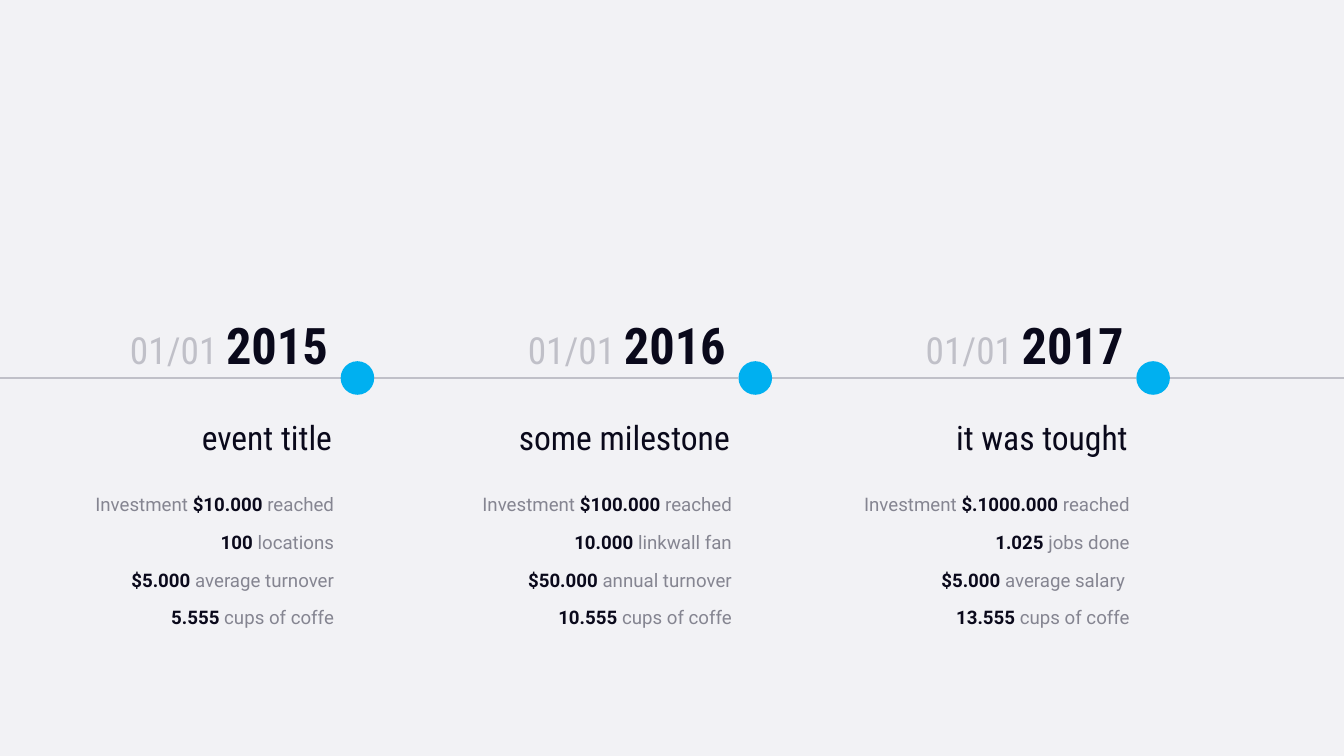
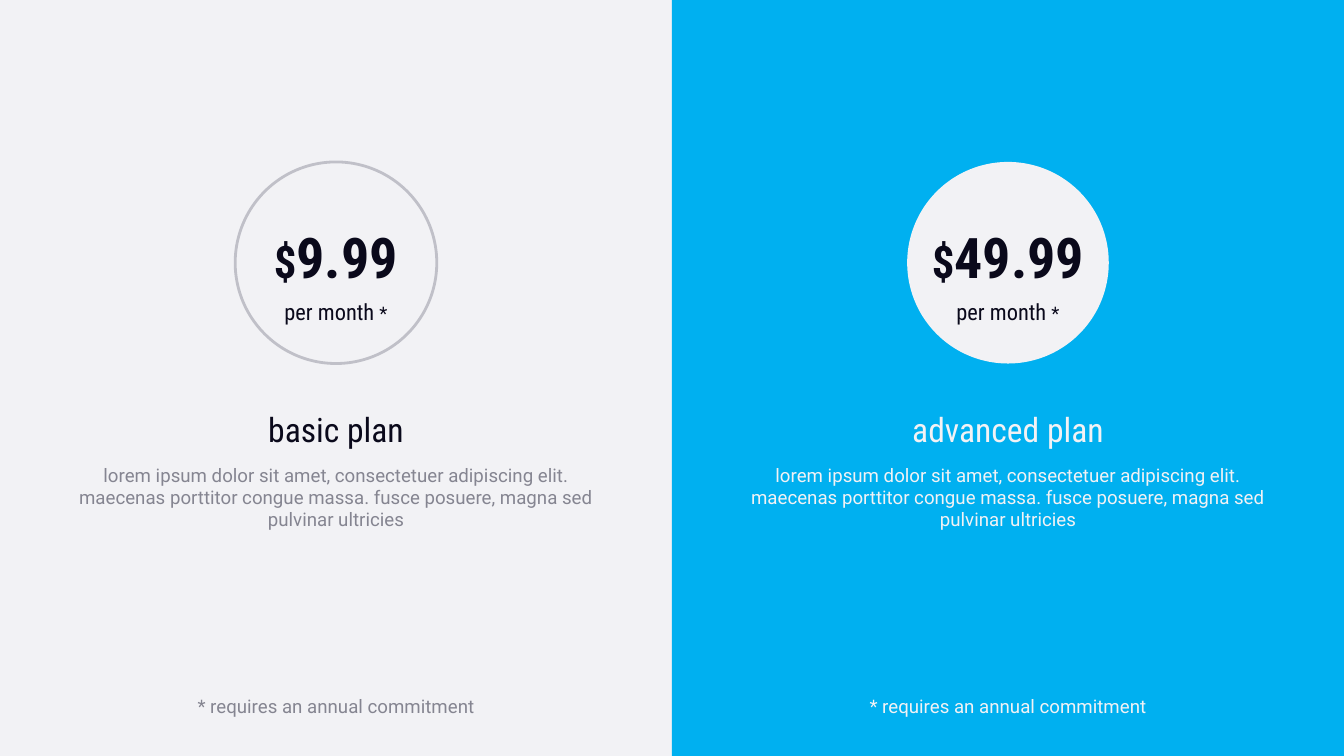
from dataclasses import dataclass
from typing import NamedTuple

from lxml import etree
from pptx import Presentation
from pptx.dml.color import RGBColor
from pptx.enum import shapes, text
from pptx.oxml import ns
from pptx.util import Pt

PAPER = RGBColor(0xF2, 0xF2, 0xF5)
INK = RGBColor(0x0A, 0x09, 0x1B)
GREY = RGBColor(0x85, 0x85, 0x91)
SILVER = RGBColor(0xC0, 0xC0, 0xC8)
BLUE = RGBColor(0x00, 0xB0, 0xF0)

BODY_FONT = "Roboto"
HEADING_FONT = "Roboto Condensed"
BODY_SIZE = 20
HEADING_SIZE = 36

SLIDE_WIDTH, SLIDE_HEIGHT = 1440, 810
BLANK_LAYOUT = 6

DOT_SIZE = 36
AXIS_Y = 405
FIRST_DOT_LEFT = 365
MILESTONE_PITCH = 426.25
FACTS_TOP, FACT_PITCH = 525, 40.25

HALF_WIDTH = SLIDE_WIDTH / 2
PRICE_CIRCLE_SIZE = 216
PRICE_CIRCLE_TOP = 173.5


class Box(NamedTuple):
    left: float
    top: float
    width: float
    height: float


class Piece(NamedTuple):
    text: str
    size: float
    color: RGBColor
    font: str = BODY_FONT
    bold: bool = False


@dataclass(frozen=True)
class Milestone:
    year: str
    title: str
    facts: tuple[str, ...]


@dataclass(frozen=True)
class Plan:
    name: str
    price: str
    title_color: RGBColor
    body_color: RGBColor
    panel: RGBColor | None = None
    ring: RGBColor | None = None


MILESTONES = (
    Milestone("2015", "event title", (
        "Investment |$10.000 |reached",
        "|100 |locations",
        "|$5.000 |average turnover",
        "|5.555| cups of coffe",
    )),
    Milestone("2016", "some milestone", (
        "Investment |$100.000 |reached",
        "|10.000 |linkwall fan",
        "|$50.000 |annual turnover",
        "|10.555| cups of coffe",
    )),
    Milestone("2017", "it was tought", (
        "Investment |$.1000.000 |reached",
        "|1.025 |jobs done",
        "|$5.000| average salary ",
        "|13.555| cups of coffe",
    )),
)

PLANS = (
    Plan("basic plan", "9.99", INK, GREY, ring=SILVER),
    Plan("advanced plan", "49.99", PAPER, PAPER, panel=BLUE),
)

DESCRIPTION = (
    "lorem ipsum dolor sit amet, consectetuer adipiscing elit. maecenas "
    "porttitor congue massa. fusce posuere, magna sed pulvinar ultricies"
)
FOOTNOTE = "* requires an annual commitment"


def add_text(slide, box: Box, pieces: list[Piece], alignment) -> None:
    frame = slide.shapes.add_textbox(*map(Pt, box)).text_frame
    frame.word_wrap = True
    frame.auto_size = text.MSO_AUTO_SIZE.SHAPE_TO_FIT_TEXT
    paragraph = frame.paragraphs[0]
    paragraph.alignment = alignment
    for piece in pieces:
        run = paragraph.add_run()
        run.text = piece.text
        run.font.size = Pt(piece.size)
        run.font.name = piece.font
        run.font.bold = piece.bold
        run.font.color.rgb = piece.color


def add_filled(slide, kind, box: Box, fill: RGBColor,
               outline: RGBColor | None = None) -> None:
    shape = slide.shapes.add_shape(kind, *map(Pt, box))
    shape.shadow.inherit = False
    shape.fill.solid()
    shape.fill.fore_color.rgb = fill
    if outline is None:
        shape.line.fill.background()
    else:
        shape.line.color.rgb = outline
        shape.line.width = Pt(3)


def add_axis_segment(slide, start: float, end: float) -> None:
    connector = slide.shapes.add_connector(
        shapes.MSO_CONNECTOR.STRAIGHT, Pt(start), Pt(AXIS_Y), Pt(end), Pt(AXIS_Y))
    connector.line.color.rgb = SILVER
    connector.line.width = Pt(2)
    properties = connector._element.find(ns.qn("p:spPr"))
    etree.SubElement(properties, ns.qn("a:effectLst"))


def fact_pieces(fact: str) -> list[Piece]:
    return [
        Piece(part, BODY_SIZE, INK if index % 2 else GREY, bold=index % 2 == 1)
        for index, part in enumerate(fact.split("|")) if part
    ]


def add_milestone(slide, milestone: Milestone, dot_left: float) -> None:
    right = text.PP_ALIGN.RIGHT
    add_filled(slide, shapes.MSO_SHAPE.OVAL,
               Box(dot_left, AXIS_Y - DOT_SIZE / 2, DOT_SIZE, DOT_SIZE), BLUE)
    add_text(slide, Box(dot_left - 282, 333.5, 275.5, 72.5), [
        Piece("01/01 ", 40, SILVER, HEADING_FONT),
        Piece(milestone.year, 54, INK, HEADING_FONT, True),
    ], right)
    add_text(slide, Box(dot_left - 304, 443, 302, 51),
             [Piece(milestone.title, HEADING_SIZE, INK, HEADING_FONT)], right)
    for row, fact in enumerate(milestone.facts):
        top = FACTS_TOP + row * FACT_PITCH
        add_text(slide, Box(dot_left - 355.5, top, 355.5, 31.5),
                 fact_pieces(fact), right)


def build_timeline(slide) -> None:
    dots = [FIRST_DOT_LEFT + index * MILESTONE_PITCH
            for index in range(len(MILESTONES))]
    starts = [0] + [dot + DOT_SIZE for dot in dots]
    for start, end in zip(starts, dots + [SLIDE_WIDTH]):
        add_axis_segment(slide, start, end)
    for milestone, dot_left in zip(MILESTONES, dots):
        add_milestone(slide, milestone, dot_left)


def add_plan(slide, plan: Plan, left: float) -> None:
    def centred(top: float, width: float, height: float) -> Box:
        return Box(left + (HALF_WIDTH - width) / 2, top, width, height)

    if plan.panel is not None:
        add_filled(slide, shapes.MSO_SHAPE.RECTANGLE,
                   centred(0, HALF_WIDTH, SLIDE_HEIGHT), plan.panel)
    add_filled(slide, shapes.MSO_SHAPE.OVAL,
               centred(PRICE_CIRCLE_TOP, PRICE_CIRCLE_SIZE, PRICE_CIRCLE_SIZE),
               PAPER, plan.ring)
    labels = (
        (centred(234.75, PRICE_CIRCLE_SIZE, 80), [
            Piece("$", 48, INK, HEADING_FONT, True),
            Piece(plan.price, 60, INK, HEADING_FONT, True),
        ]),
        (centred(316, PRICE_CIRCLE_SIZE, 36), [
            Piece("per month ", 24, INK, HEADING_FONT),
            Piece("*", 20, INK, HEADING_FONT),
        ]),
        (centred(435, 576, 51),
         [Piece(plan.name, HEADING_SIZE, plan.title_color, HEADING_FONT)]),
        (centred(493, 570, 80), [Piece(DESCRIPTION, BODY_SIZE, plan.body_color)]),
        (centred(741, 450, 31.5), [Piece(FOOTNOTE, BODY_SIZE, plan.body_color)]),
    )
    for box, pieces in labels:
        add_text(slide, box, pieces, text.PP_ALIGN.CENTER)


def build_pricing(slide) -> None:
    for index, plan in enumerate(PLANS):
        add_plan(slide, plan, index * HALF_WIDTH)


def main() -> None:
    presentation = Presentation()
    presentation.slide_width = Pt(SLIDE_WIDTH)
    presentation.slide_height = Pt(SLIDE_HEIGHT)
    background = presentation.slide_master.background.fill
    background.solid()
    background.fore_color.rgb = PAPER
    for build in (build_timeline, build_pricing):
        build(presentation.slides.add_slide(presentation.slide_layouts[BLANK_LAYOUT]))
    presentation.save("out.pptx")


if __name__ == "__main__":
    main()
